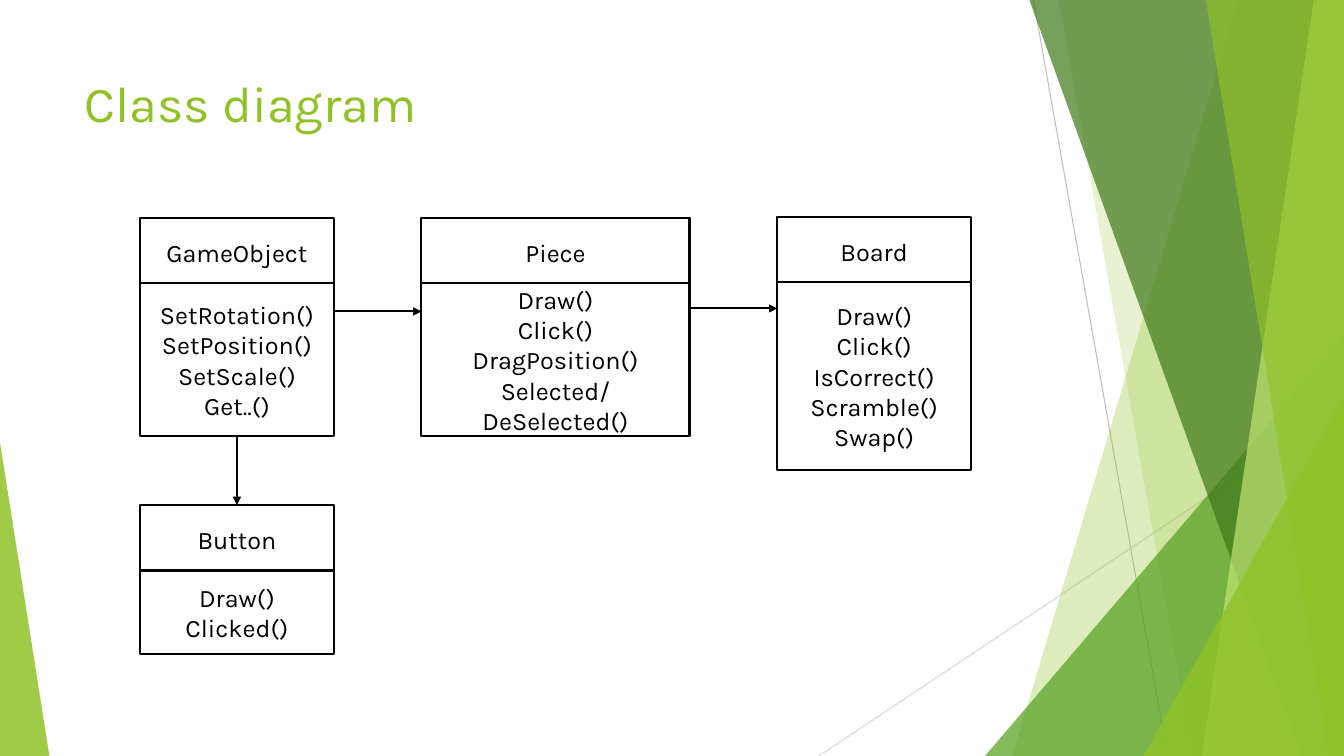
from pptx import Presentation
from pptx.dml.color import RGBColor
from pptx.enum.shapes import MSO_CONNECTOR as Line, MSO_SHAPE as Shape
from pptx.enum.text import MSO_ANCHOR as Anchor, PP_ALIGN as Align
from pptx.oxml.ns import qn
from pptx.util import Inches, Pt
from lxml import etree

BLACK = RGBColor(0x00, 0x00, 0x00)
WHITE = RGBColor(0xFF, 0xFF, 0xFF)
SILVER = RGBColor(0xBF, 0xBF, 0xBF)
PALE = RGBColor(0xD9, 0xD9, 0xD9)
LIME = RGBColor(0x90, 0xC2, 0x26)
LEAF = RGBColor(0x54, 0xA0, 0x21)
MOSS = RGBColor(0x3F, 0x78, 0x19)
MINT = RGBColor(0xC0, 0xE4, 0x74)

WIDE, HIGH = 13.33, 7.5
HEAD = 0.69  # height of a class name box
DROP = 0.65  # from the top of the name box to the method box

prs = Presentation()
prs.slide_width, prs.slide_height = Inches(WIDE), Inches(HIGH)
slide = prs.slides.add_slide(prs.slide_layouts[5])
shapes = slide.shapes


def write(frame, lines, align, style):
    """Fill a text frame, one paragraph a line."""
    frame.text = "\n".join(lines)
    for para in frame.paragraphs:
        para.alignment = align
        for key, value in style["font"].items():
            setattr(para.font, key, value)
        para.font.color.rgb = style["color"]


def join(start, end, color, width):
    """Draw a straight line without a shadow."""
    line = shapes.add_connector(Line.STRAIGHT, *map(Inches, start + end))
    line.line.color.rgb = color
    line.line.width = Pt(width)
    etree.SubElement(line._element.spPr, qn("a:effectLst"))
    return line


# Thin lines behind the green facets
join((10.25, 0), (11.58, HIGH), SILVER, 0.75)
join((WIDE, 4.03), (8.12, HIGH), PALE, 0.75)

# Green facets: bands (top x, foot x) reach the right edge,
# triangles (left, top, width, tip) stand on the bottom edge
facets = [
    ((12.28, 10.04), LIME, 30),
    ((10.5, 11.83), LIME, 20),
    ((9.77, 3.33, 3.56, 1), LEAF, 72),
    ((10.21, 12.91), MOSS, 70),
    ((13.03, 11.92), MINT, 70),
    ((11.96, 13.18), LIME, 65),
    ((11.34, 3.93, 1.99, 1), LIME, 80),
    ((0, 4.39, 0.49, 0), LIME, 85),
]
for form, color, alpha in facets:
    if len(form) == 2:
        top, foot = form
        path = shapes.build_freeform(Inches(top), 0)
        corners = [(WIDE, 0), (WIDE, HIGH), (foot, HIGH)]
        path.add_line_segments([(Inches(x), Inches(y)) for x, y in corners])
        facet = path.convert_to_shape()
    else:
        left, top, width, tip = form
        facet = shapes.add_shape(Shape.ISOSCELES_TRIANGLE, Inches(left),
                                 Inches(top), Inches(width),
                                 Inches(HIGH - top))
        facet.adjustments[0] = tip
    facet.shadow.inherit = False
    facet.line.fill.background()
    facet.fill.solid()
    facet.fill.fore_color.rgb = color
    tint = facet._element.spPr.find(qn("a:solidFill"))[0]
    etree.SubElement(tint, qn("a:alpha"), val=str(alpha * 1000))

# Title
title = shapes.title
place = {"left": 0.74, "top": 0.67, "width": 9.4, "height": 1.44}
for key, value in place.items():
    setattr(title, key, Inches(value))
title.text_frame.vertical_anchor = Anchor.TOP
write(title.text_frame, ["Class diagram"], Align.LEFT,
      {"font": {"name": "Karla", "size": Pt(36)}, "color": LIME})

# Classes: name, left, top, width, height of the method box, methods
classes = [
    ("GameObject", 1.39, 2.16, 1.92, 1.52,
     ["SetRotation()", "SetPosition()", "SetScale()", "Get..()"]),
    ("Piece", 4.18, 2.16, 2.66, 1.52,
     ["Draw()", "Click()", "DragPosition()", "Selected/DeSelected()"]),
    ("Board", 7.71, 2.15, 1.92, 1.86,
     ["Draw()", "Click()", "IsCorrect()", "Scramble()", "Swap()"]),
    ("Button", 1.39, 5.01, 1.92, 0.83, ["Draw()", "Clicked()"]),
]
label = {"font": {"name": "Karla", "size": Pt(18)}, "color": BLACK}
boxes = {}
for name, left, top, width, height, methods in classes:
    parts = [(top, HEAD, [name]), (top + DROP, height, methods)]
    boxes[name] = []
    for y, tall, lines in parts:
        box = shapes.add_shape(Shape.RECTANGLE, Inches(left), Inches(y),
                               Inches(width), Inches(tall))
        box.shadow.inherit = False
        box.fill.solid()
        box.fill.fore_color.rgb = WHITE
        box.line.color.rgb = BLACK
        box.line.width = Pt(1.5)
        box.text_frame.vertical_anchor = Anchor.MIDDLE
        write(box.text_frame, lines, Align.CENTER, label)
        boxes[name].append(box)

# Arrows between the classes
arrows = [
    join((3.31, 3.09), (4.18, 3.09), BLACK, 1.5),
    join((6.84, 3.06), (7.71, 3.06), BLACK, 1.5),
    join((2.35, 4.33), (2.35, 5.01), BLACK, 1.5),
]
for arrow in arrows:
    stroke = arrow.line._get_or_add_ln()
    etree.SubElement(stroke, qn("a:tailEnd"), type="triangle")
arrows[-1].begin_connect(boxes["GameObject"][1], 2)
arrows[-1].end_connect(boxes["Button"][0], 0)

prs.save("out.pptx")
